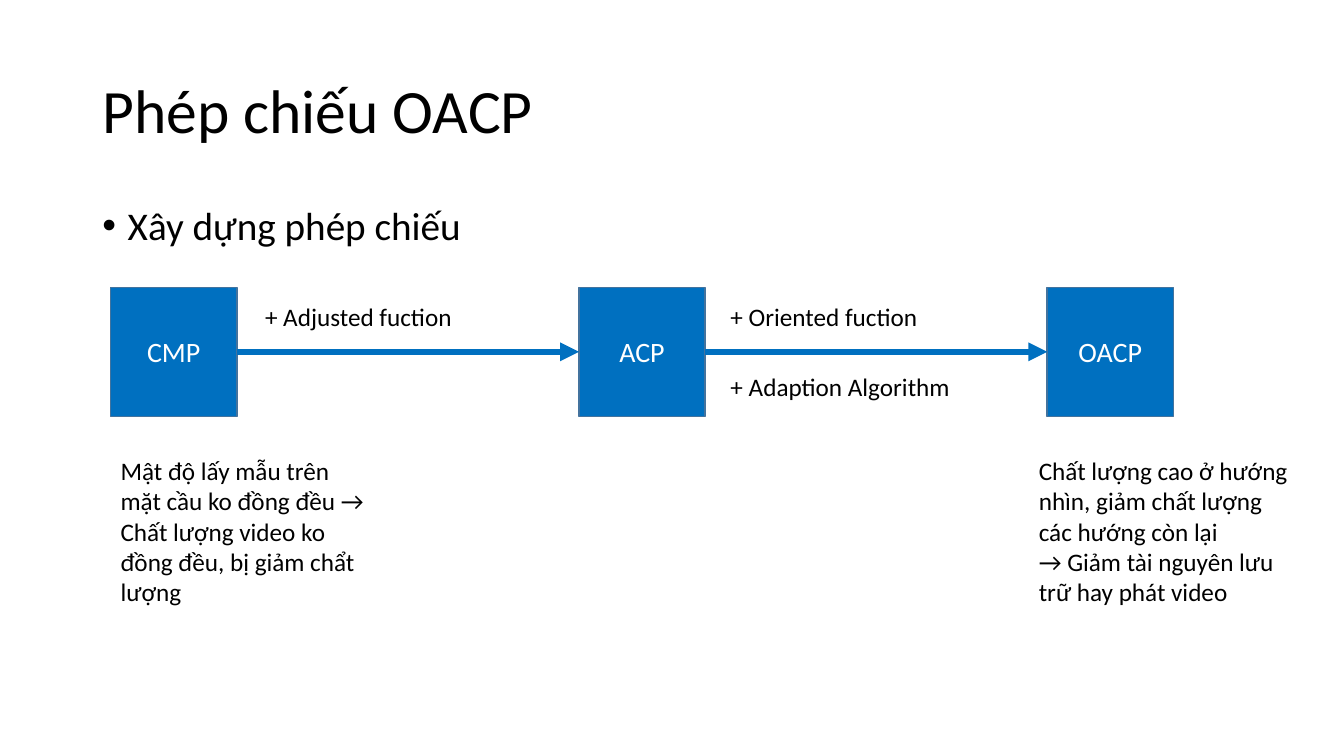
from lxml.etree import SubElement
from pptx import Presentation
from pptx.dml.color import RGBColor
from pptx.enum.shapes import MSO_CONNECTOR, MSO_SHAPE
from pptx.enum.text import MSO_ANCHOR, MSO_AUTO_SIZE, PP_ALIGN
from pptx.oxml.ns import qn
from pptx.util import Cm, Pt

BLUE = RGBColor(0x00, 0x70, 0xC0)
BORDER = RGBColor(0x43, 0x73, 0x9E)
BLACK = RGBColor(0, 0, 0)
WHITE = RGBColor(0xFF, 0xFF, 0xFF)

STAGES = ["CMP", "ACP", "OACP"]
STAGE_LEFT, STAGE_TOP, STAGE_PITCH = 2.79, 7.24, 11.8
STAGE_W, STAGE_H = 3.18, 3.25
ABOVE_ARROW, BELOW_ARROW, LABEL_W, LABEL_H = 7.47, 9.22, 7.75, 1.02
NOTE_TOP, NOTE_H = 11.35, 4.11


def write(tf, text, size=18, color=BLACK, align=PP_ALIGN.LEFT,
          anchor=MSO_ANCHOR.TOP, spacing=None, bullet=False):
    """Fill a text frame, one paragraph for each line of text."""
    tf.word_wrap = True
    tf.auto_size = MSO_AUTO_SIZE.NONE
    tf.vertical_anchor = anchor
    tf.text = text
    for p in tf.paragraphs:
        p.alignment = align
        p.line_spacing = spacing
        if bullet:
            pPr = p._p.get_or_add_pPr()
            pPr.set("marL", str(Cm(0.64)))
            pPr.set("indent", str(-Cm(0.64)))
            SubElement(pPr, qn("a:buFont"), typeface="Arial")
            SubElement(pPr, qn("a:buChar"), char="•")
        for r in p.runs:
            r.font.name = "Calibri"
            r.font.size = Pt(size)
            r.font.color.rgb = color


def add_title(s, text):
    title = s.shapes.title
    title.left, title.top = Cm(2.33), Cm(1.02)
    title.width, title.height = Cm(29.21), Cm(3.68)
    write(title.text_frame, text, size=44, anchor=MSO_ANCHOR.MIDDLE, spacing=0.9)


def add_text(s, text, left, top, width, height, **fmt):
    box = s.shapes.add_textbox(Cm(left), Cm(top), Cm(width), Cm(height))
    write(box.text_frame, text, **fmt)


def add_stage(s, name, left):
    sp = s.shapes.add_shape(MSO_SHAPE.RECTANGLE, Cm(left), Cm(STAGE_TOP),
                            Cm(STAGE_W), Cm(STAGE_H))
    sp.shadow.inherit = False
    sp.fill.solid()
    sp.fill.fore_color.rgb = BLUE
    sp.line.color.rgb = BORDER
    sp.line.width = Pt(1)
    write(sp.text_frame, name, size=20, color=WHITE, align=PP_ALIGN.CENTER,
          anchor=MSO_ANCHOR.MIDDLE)
    return sp


def add_arrow(s, source, target):
    """Join the right side of source to the left side of target."""
    c = s.shapes.add_connector(MSO_CONNECTOR.STRAIGHT, 0, 0, 0, 0)
    c.begin_connect(source, 3)
    c.end_connect(target, 1)
    c.line.color.rgb = BLUE
    c.line.width = Pt(4.5)
    SubElement(c.line._get_or_add_ln(), qn("a:tailEnd"), type="triangle")
    SubElement(c._element.spPr, qn("a:effectLst"))


def main():
    prs = Presentation()
    prs.slide_width, prs.slide_height = Cm(33.87), Cm(19.05)
    s = prs.slides.add_slide(prs.slide_layouts[5])
    add_title(s, "Phép chiếu OACP")
    add_text(s, "Xây dựng phép chiếu", 2.33, 5.08, 29.21, 1.5,
             size=28, spacing=0.9, bullet=True)

    stages = [add_stage(s, name, STAGE_LEFT + i * STAGE_PITCH)
              for i, name in enumerate(STAGES)]
    for source, target in zip(stages, stages[1:]):
        add_arrow(s, source, target)

    for text, left, top in [
        ("+ Adjusted fuction", 6.43, ABOVE_ARROW),
        ("+ Oriented fuction", 18.16, ABOVE_ARROW),
        ("+ Adaption Algorithm", 18.16, BELOW_ARROW),
    ]:
        add_text(s, text, left, top, LABEL_W, LABEL_H)

    for text, left, width in [
        ("Mật độ lấy mẫu trên mặt cầu ko đồng đều → Chất lượng video ko "
         "đồng đều, bị giảm chẩt lượng", STAGE_LEFT, 6.65),
        ("Chất lượng cao ở hướng nhìn, giảm chất lượng các hướng còn lại\n"
         "→ Giảm tài nguyên lưu trữ hay phát video", 25.93, 6.78),
    ]:
        add_text(s, text, left, NOTE_TOP, width, NOTE_H)

    prs.save("out.pptx")


if __name__ == "__main__":
    main()
